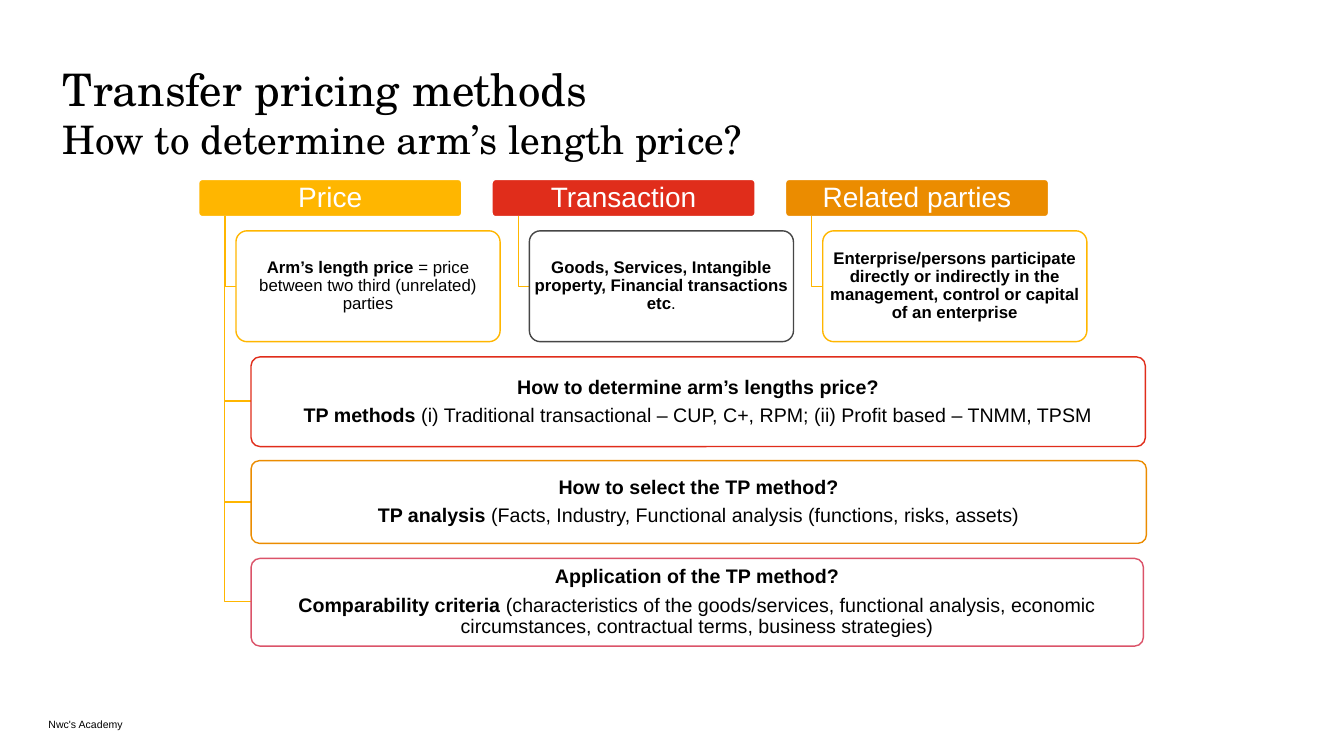
from lxml import etree
from pptx import Presentation
from pptx import util as u
from pptx.dml.color import RGBColor
from pptx.enum import shapes, text
from pptx.oxml import ns

PX = 9144  # 100 px to the inch
BLACK = RGBColor(0x00, 0x00, 0x00)
WHITE = RGBColor(0xFF, 0xFF, 0xFF)
YELLOW = RGBColor(0xFF, 0xB6, 0x00)
RED = RGBColor(0xE0, 0x2D, 0x1B)
ORANGE = RGBColor(0xEB, 0x8C, 0x00)
ROSE = RGBColor(0xDB, 0x53, 0x69)
GREY = RGBColor(0x46, 0x46, 0x46)

presentation = Presentation()
presentation.slide_width = 1333 * PX
presentation.slide_height = 750 * PX
slide = presentation.slides.add_slide(presentation.slide_layouts[6])


def add_box(bounds, fill, line, paragraphs, size, color, inset):
    """Add a rounded box; paragraphs are lists of (text, bold) runs."""
    box = slide.shapes.add_shape(
        shapes.MSO_SHAPE.ROUNDED_RECTANGLE, *[n * PX for n in bounds])
    box.adjustments[0] = 0.1
    box.shadow.inherit = False
    box.fill.solid()
    box.fill.fore_color.rgb = fill
    box.line.color.rgb = line
    box.line.width = u.Pt(1)
    frame = box.text_frame
    frame.word_wrap = True
    frame.vertical_anchor = text.MSO_ANCHOR.MIDDLE
    frame.margin_left = frame.margin_right = inset * PX
    frame.margin_top = frame.margin_bottom = 2 * PX
    for index, runs in enumerate(paragraphs):
        paragraph = frame.add_paragraph() if index else frame.paragraphs[0]
        paragraph.alignment = text.PP_ALIGN.CENTER
        paragraph.line_spacing = 0.9
        if index:
            paragraph.space_before = u.Pt(4.9)
        for words, bold in runs:
            run = paragraph.add_run()
            run.text = words
            run.font.name = "Arial"
            run.font.size = u.Pt(size)
            run.font.bold = bold
            run.font.color.rgb = color
    return box


def add_card(header_left, bounds, line, paragraphs, size, inset):
    """Add a white card and the elbow line that leads to it from its header."""
    left, top, width, height = bounds
    stem, middle = header_left + 26, top + height // 2
    builder = slide.shapes.build_freeform(stem, 214, PX)
    builder.add_line_segments([(stem, middle), (left, middle)], close=False)
    elbow = builder.convert_to_shape()
    elbow.shadow.inherit = False
    elbow.fill.background()
    elbow.line.color.rgb = YELLOW
    elbow.line.width = u.Pt(1)

    card = add_box(bounds, WHITE, line, paragraphs, size, BLACK, inset)
    fill_color = card.fill._xPr.find(ns.qn("a:solidFill"))[0]
    etree.SubElement(fill_color, ns.qn("a:alpha"), val="90000")


# Title and footer
captions = [
    ((62, 61, 1236, 110), text.MSO_ANCHOR.TOP, "TeX Gyre Schola",
     [("Transfer pricing methods", 32), ("How to determine arm’s length price?", 28)]),
    ((48, 710, 599, 15), text.MSO_ANCHOR.BOTTOM, "Arial", [("Nwc's Academy", 7.5)]),
]
for bounds, anchor, font_name, lines in captions:
    frame = slide.shapes.add_textbox(*[n * PX for n in bounds]).text_frame
    frame.word_wrap = True
    frame.vertical_anchor = anchor
    frame.margin_left = frame.margin_right = frame.margin_top = frame.margin_bottom = 0
    frame.text = "\n".join(words for words, size in lines)
    for paragraph, (words, size) in zip(frame.paragraphs, lines):
        font = paragraph.runs[0].font
        font.name = font_name
        font.size = u.Pt(size)
        font.color.rgb = BLACK

# Three columns, each a header above a card
columns = [
    ("Price", YELLOW, YELLOW,
     [("Arm’s length price", True),
      (" = price between two third (unrelated) parties", False)]),
    ("Transaction", RED, GREY,
     [("Goods, Services, Intangible property, Financial transactions etc", True),
      (".", False)]),
    ("Related parties", ORANGE, YELLOW,
     [("Enterprise/persons participate directly or indirectly in the management, "
       "control or capital of an enterprise", True)]),
]
FIRST_LEFT, COLUMN_STEP = 197, 291
for index, (heading, header_fill, card_line, runs) in enumerate(columns):
    left = FIRST_LEFT + index * COLUMN_STEP
    add_box((left, 178, 261, 37), header_fill, WHITE, [[(heading, False)]], 20, WHITE, 4)
    add_card(left, (left + 37, 229, 262, 110), card_line, [runs], 12, 2)

# Wide cards hanging from the first column
questions = [
    (354, 887, 89, RED, "How to determine arm’s lengths price?", "TP methods",
     " (i) Traditional transactional – CUP, C+, RPM; (ii) Profit based – TNMM, TPSM"),
    (457, 888, 82, ORANGE, "How to select the TP method?", "TP analysis",
     " (Facts, Industry, Functional analysis (functions, risks, assets)"),
    (554, 885, 87, ROSE, "Application of the TP method?", "Comparability criteria",
     " (characteristics of the goods/services, functional analysis, economic "
     "circumstances, contractual terms, business strategies)"),
]
for top, width, height, line, question, topic, details in questions:
    add_card(FIRST_LEFT, (FIRST_LEFT + 52, top, width, height), line,
             [[(question, True)], [(topic, True), (details, False)]], 14, 3)

presentation.save("out.pptx")
